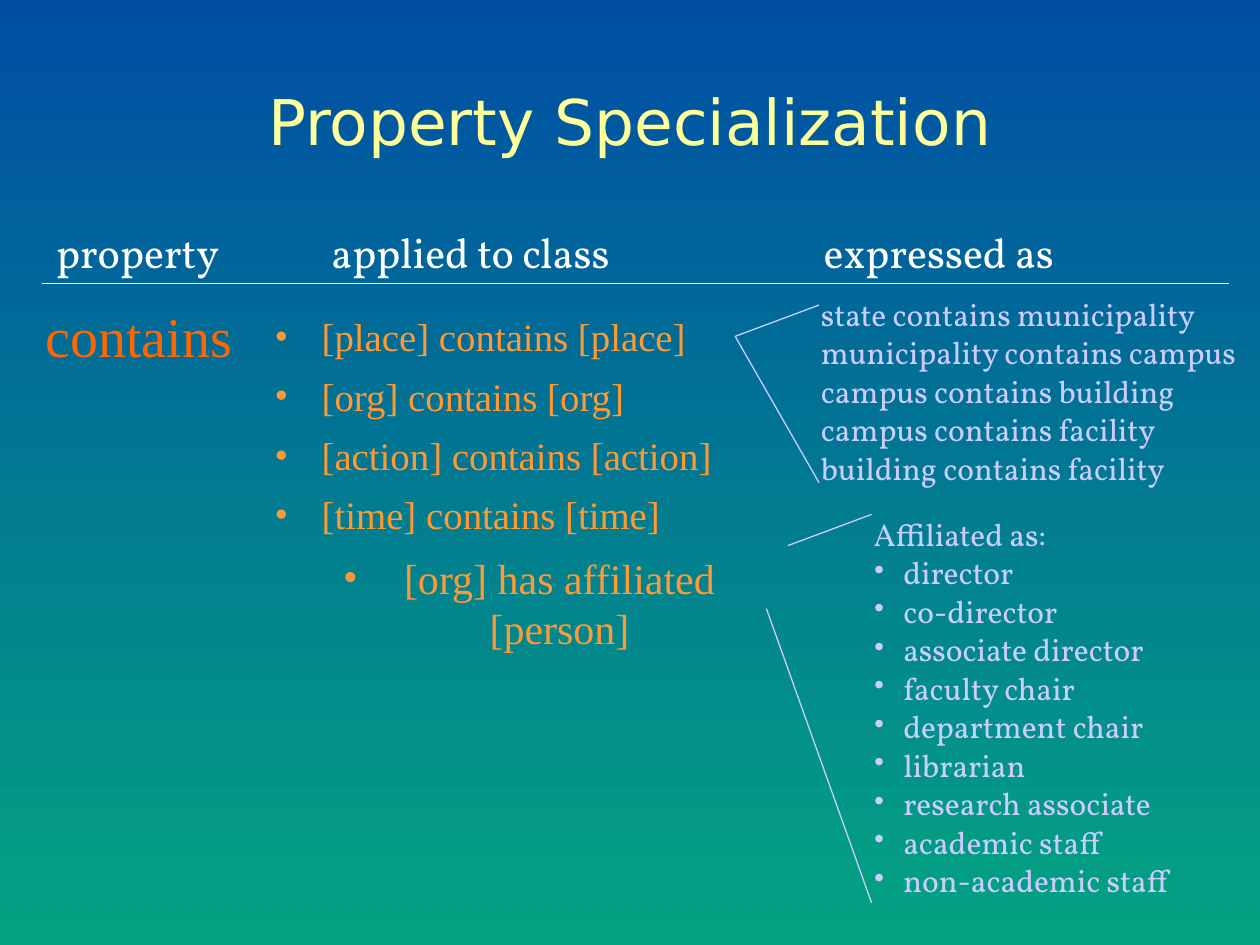
from collections import namedtuple

from lxml import etree
from pptx import Presentation
from pptx.dml import color
from pptx.enum import shapes, text
from pptx.oxml import ns
from pptx.util import Cm, Pt

Box = namedtuple("Box", "left top width height")  # centimetres
SERIF, HEADING, TITLE = "Times New Roman", "Vollkorn", "DejaVu Sans"
WHITE, YELLOW, RED, ORANGE, LILAC = "FFFFFF", "FFFF99", "FF6600", "FF9933", "CCCCFF"

CLASSES = ["[place] contains [place]", "[org] contains [org]",
           "[action] contains [action]", "[time] contains [time]"]
PLACES = ["state contains municipality", "municipality contains campus",
          "campus contains building", "campus contains facility",
          "building contains facility"]
ROLES = ["director", "co-director", "associate director", "faculty chair",
         "department chair", "librarian", "research associate",
         "academic staff", "non-academic staff"]


def rgb(value):
    return color.RGBColor.from_string(value)


def place(shape, box):
    shape.left, shape.top, shape.width, shape.height = map(Cm, box)


def text_box(slide, box):
    return slide.shapes.add_textbox(*map(Cm, box))


def set_bullet(paragraph, hex_color, margin, hanging):
    """Set a bullet, or none where hex_color is None, with its indents in cm."""
    props = paragraph._p.get_or_add_pPr()
    props.set("marL", str(Cm(margin)))
    props.set("indent", str(-Cm(hanging)))
    if hex_color is None:
        etree.SubElement(props, ns.qn("a:buNone"))
        return
    tint = etree.SubElement(props, ns.qn("a:buClr"))
    etree.SubElement(tint, ns.qn("a:srgbClr"), val=hex_color)
    etree.SubElement(props, ns.qn("a:buFont"), typeface=SERIF)
    etree.SubElement(props, ns.qn("a:buChar"), char="•")


def write(shape, lines, font, size, hex_color, align=text.PP_ALIGN.LEFT,
          spacing=1.0, before=0, bullets=None, margin=0, hanging=0):
    """Write one paragraph a line; bullets holds the line numbers with a bullet."""
    frame = shape.text_frame
    frame.text = "\n".join(lines)
    frame.word_wrap = True
    frame.auto_size = text.MSO_AUTO_SIZE.NONE
    for number, paragraph in enumerate(frame.paragraphs):
        paragraph.alignment = align
        paragraph.line_spacing = spacing
        paragraph.space_before = Pt(before if number else 0)
        if bullets and number in bullets:
            set_bullet(paragraph, hex_color, margin, hanging)
        else:
            set_bullet(paragraph, None, 0, 0)
        for run in paragraph.runs:
            run.font.name, run.font.size = font, Pt(size)
            run.font.color.rgb = rgb(hex_color)


def add_line(slide, start, end, hex_color):
    line = slide.shapes.add_connector(
        shapes.MSO_CONNECTOR.STRAIGHT, *map(Cm, (*start, *end)))
    line.line.color.rgb = rgb(hex_color)
    line.line.width = Pt(0.75)
    etree.SubElement(line._element.spPr, ns.qn("a:effectLst"))


def add_header(slide, box):
    """Column headings above a rule along the bottom of the box."""
    headings = [("property", 0, 3.85), ("applied to class", 5.5, 6.27),
                ("expressed as", 15.45, 5.25)]
    for heading, offset, width in headings:
        label = text_box(slide, Box(box.left + offset, box.top, width, box.height))
        write(label, [heading], HEADING, 24, WHITE, text.PP_ALIGN.CENTER)
    rule = box.top + box.height
    add_line(slide, (box.left, rule), (box.left + box.width, rule), WHITE)


def add_classes(slide, holder, box):
    place(holder, box)
    write(holder, CLASSES, SERIF, 22.2, ORANGE, before=7.3,
          bullets=range(len(CLASSES)), margin=0.95, hanging=0.95)
    affiliation = text_box(slide, Box(box.left, box.top + 4.83, 10.77, 2.2))
    write(affiliation, ["[org] has affiliated [person]"], SERIF, 24, ORANGE,
          text.PP_ALIGN.CENTER, bullets=[0], margin=1.23, hanging=1.23)


def add_expressions(slide, box, lines, rays, bullets=None):
    """Notes at the box, with rays from the class they expand.

    Each ray gives its start and end as offsets from the corner of the box.
    """
    write(text_box(slide, box), lines, HEADING, 18, LILAC, spacing=0.5,
          before=11.2, bullets=bullets, margin=0.6, hanging=0.6)
    for ray in rays:
        start, end = [(box.left + x, box.top + y) for x, y in ray]
        add_line(slide, start, end, LILAC)


def build_slide(deck):
    slide = deck.slides.add_slide(deck.slide_layouts.get_by_name("Two Content"))
    fill = slide.background.fill
    fill.gradient()
    fill.gradient_angle = 270
    for stop, shade in zip(fill.gradient_stops, ("004EA4", "03A381")):
        stop.color.rgb = rgb(shade)

    title, prop, classes = slide.placeholders
    place(title, Box(1.9, 0.85, 21.6, 3.17))
    write(title, ["Property Specialization"], TITLE, 36, YELLOW,
          text.PP_ALIGN.CENTER)
    title.text_frame.vertical_anchor = text.MSO_ANCHOR.MIDDLE

    add_header(slide, Box(0.85, 4.45, 23.92, 1.27))
    place(prop, Box(0.66, 5.95, 4.65, 11.3))
    write(prop, ["contains"], SERIF, 32, RED)
    add_classes(slide, classes, Box(5.28, 6.18, 12.7, 4.65))
    add_expressions(slide, Box(16.3, 6.15, 9.1, 4.52), PLACES,
                    [((-1.48, 0.63), (0.21, 0)), ((-1.48, 0.63), (0.21, 3.58))])
    add_expressions(slide, Box(17.36, 10.58, 7.2, 7.65), ["Affiliated as:"] + ROLES,
                    [((-1.48, 0.42), (0.21, -0.21)), ((-1.91, 1.69), (0.21, 7.62))],
                    bullets=range(1, len(ROLES) + 1))


def main():
    deck = Presentation()
    deck.slide_width, deck.slide_height = Cm(25.4), Cm(19.05)
    build_slide(deck)
    deck.save("out.pptx")


if __name__ == "__main__":
    main()
